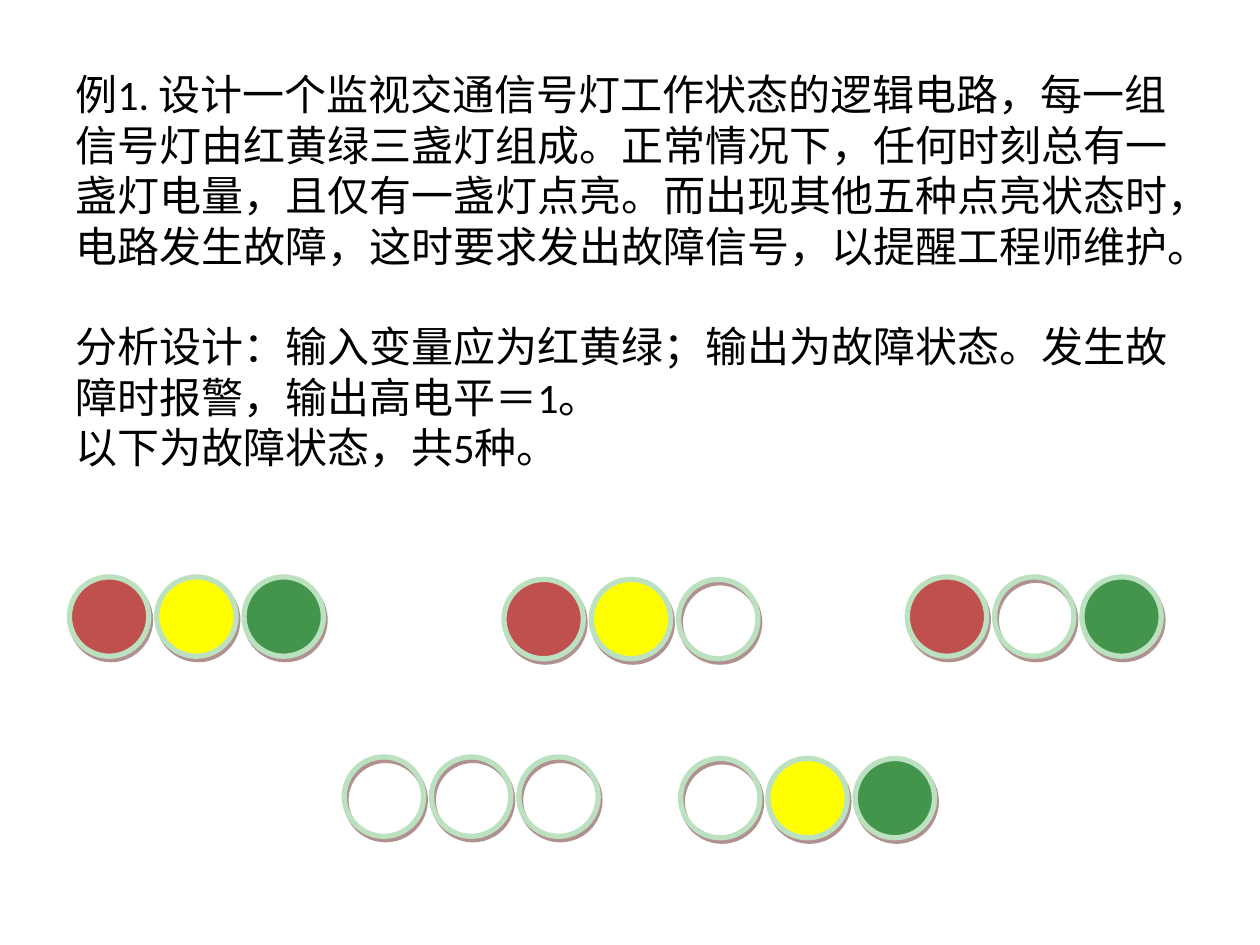
from lxml.etree import SubElement
from pptx import Presentation
from pptx.dml.color import RGBColor
from pptx.enum.shapes import MSO_SHAPE
from pptx.oxml.ns import qn
from pptx.util import Cm, Pt

RED, YELLOW, GREEN, OFF = "C0504D", "FFFF00", "43954C", None
RIM, SHADOW = "BCE1C0", "622423"
LAMP, PITCH = 1.6, 1.76
LINE_HEIGHT = Pt(28.8)

PROBLEM = [
    "例1. 设计一个监视交通信号灯工作状态的逻辑电路，每一组",
    "信号灯由红黄绿三盏灯组成。正常情况下，任何时刻总有一",
    "盏灯电量，且仅有一盏灯点亮。而出现其他五种点亮状态时，",
    "电路发生故障，这时要求发出故障信号，以提醒工程师维护。",
]
ANALYSIS = [
    "分析设计：输入变量应为红黄绿；输出为故障状态。发生故",
    "障时报警，输出高电平＝1。",
    "以下为故障状态，共5种。",
]
FAULTS = [  # left, top, lamps
    (1.4, 11.63, (RED, YELLOW, GREEN)),
    (10.16, 11.68, (RED, YELLOW, OFF)),
    (18.29, 11.63, (RED, OFF, GREEN)),
    (6.94, 15.26, (OFF, OFF, OFF)),
    (13.72, 15.29, (OFF, YELLOW, GREEN)),
]


def rgb(value):
    return RGBColor.from_string(value)


def add_text(s, left, top, width, height):
    tf = s.shapes.add_textbox(Cm(left), Cm(top), Cm(width), Cm(height)).text_frame
    tf.word_wrap = True
    tf.margin_top = Cm(0.2)
    tf.text = "\n".join(PROBLEM + ANALYSIS)
    for p in tf.paragraphs:
        p.line_spacing = LINE_HEIGHT
        for r in p.runs:
            r.font.name = "Calibri"
            r.font.size = Pt(24)
            r.font.color.rgb = rgb("000000")
    tf.paragraphs[len(PROBLEM)].space_before = LINE_HEIGHT


def add_shadow(sp):
    """Give the shape a half-transparent shadow to the lower right."""
    sp.shadow.inherit = False
    effects = sp._element.spPr.find(qn("a:effectLst"))
    shadow = SubElement(effects, qn("a:outerShdw"), dist=str(Pt(2.2)),
                        dir=str(63 * 60000), algn="ctr", rotWithShape="0")
    color = SubElement(shadow, qn("a:srgbClr"), val=SHADOW)
    SubElement(color, qn("a:alpha"), val="50000")


def add_signal(s, left, top, lamps):
    """Draw one group of three lamps; a lamp without colour is off."""
    group = s.shapes.add_group_shape()
    for i, color in enumerate(lamps):
        sp = group.shapes.add_shape(MSO_SHAPE.FLOWCHART_CONNECTOR,
                                    Cm(left + i * PITCH), Cm(top), Cm(LAMP), Cm(LAMP))
        if color:
            sp.fill.solid()
            sp.fill.fore_color.rgb = rgb(color)
        else:
            sp.fill.background()
        sp.line.color.rgb = rgb(RIM)
        sp.line.width = Pt(3)
        add_shadow(sp)


def main():
    prs = Presentation()
    prs.slide_width, prs.slide_height = Cm(25.4), Cm(19.05)
    s = prs.slides.add_slide(prs.slide_layouts[6])
    add_text(s, 1.27, 1.19, 22.86, 15.82)
    for left, top, lamps in FAULTS:
        add_signal(s, left, top, lamps)
    prs.save("out.pptx")


if __name__ == "__main__":
    main()
